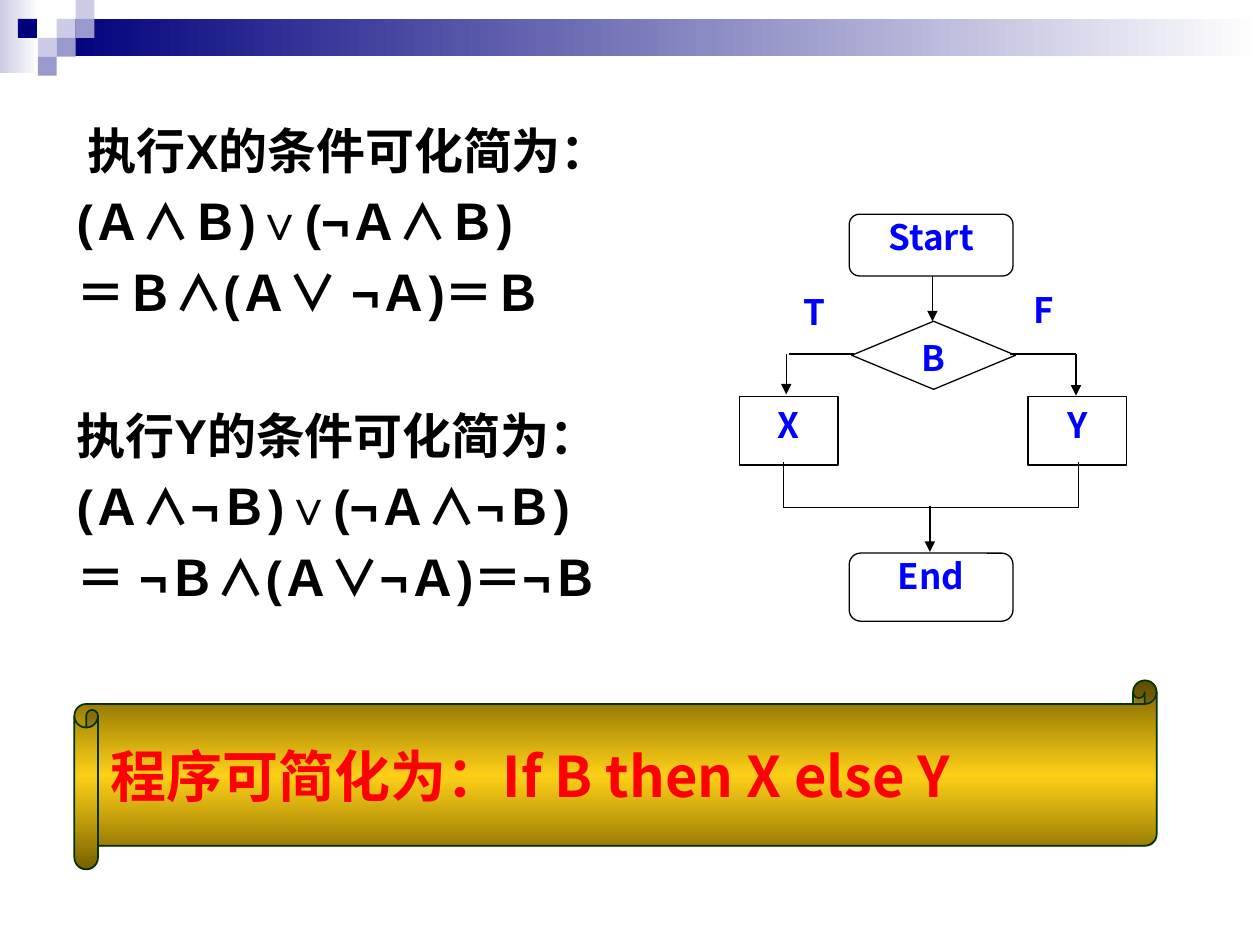
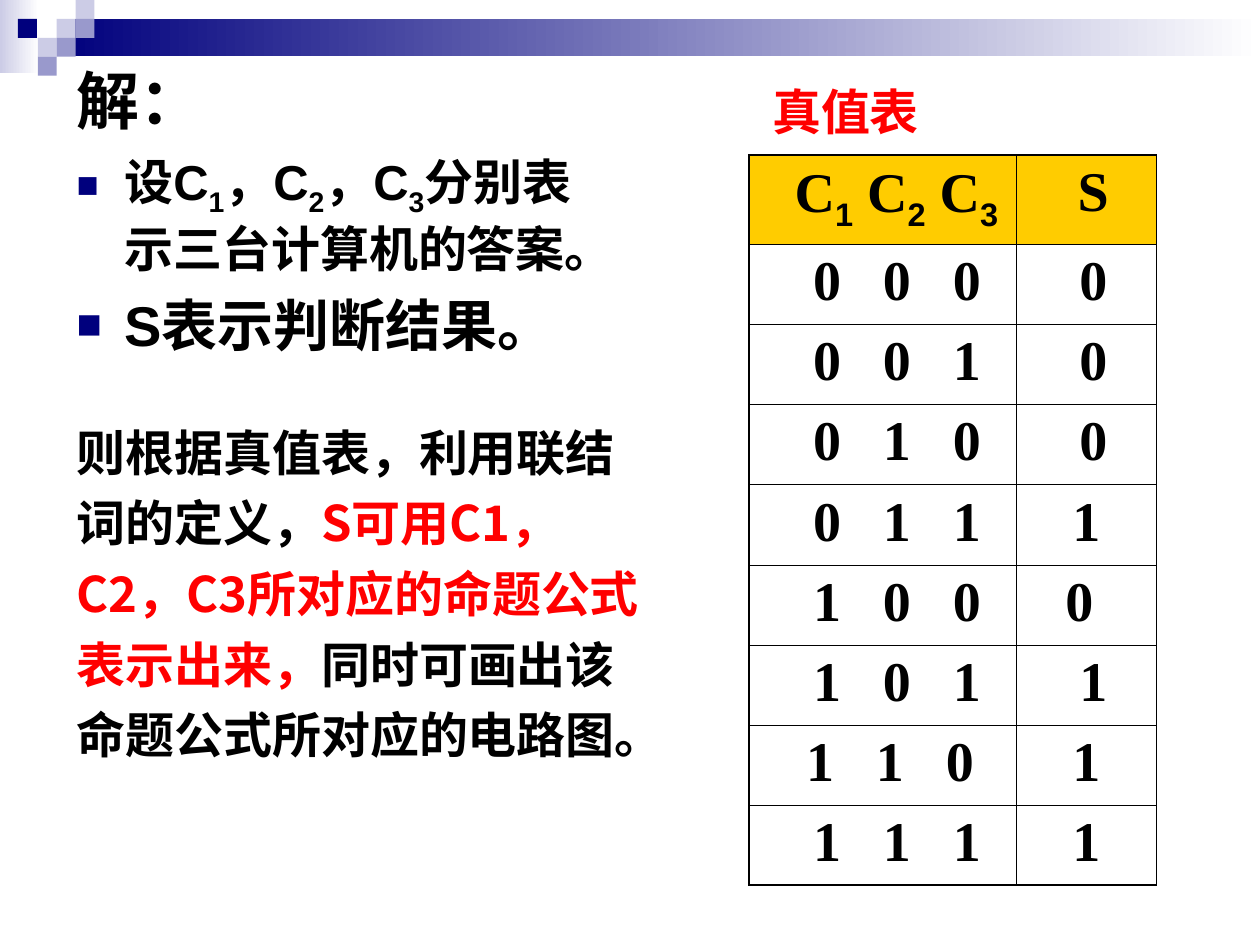
from lxml import etree
from pptx import Presentation
from pptx import util as u
from pptx.dml.color import RGBColor
from pptx.enum import shapes, text
from pptx.oxml import ns

NAVY = RGBColor(0x00, 0x00, 0x7D)
MIST = RGBColor(0xCC, 0xCC, 0xE6)
LILAC = RGBColor(0x99, 0x99, 0xCC)
WHITE = RGBColor(0xFF, 0xFF, 0xFF)
BLACK = RGBColor(0x00, 0x00, 0x00)
BLUE = RGBColor(0x00, 0x00, 0xFF)
RED = RGBColor(0xFF, 0x00, 0x00)
GOLD = RGBColor(0xFF, 0xCC, 0x00)
BRONZE = RGBColor(0x76, 0x5E, 0x00)
GREEN = RGBColor(0x00, 0x33, 0x00)
SANS, SERIF, HAN = "Arial", "Times New Roman", "Noto Sans CJK SC"
FORM = shapes.MSO_SHAPE
MID = text.PP_ALIGN.CENTER

deck = Presentation()
deck.slide_width, deck.slide_height = u.Inches(10), u.Inches(7.5)
COL, ROW = deck.slide_width / 100, deck.slide_height / 75


def say(frame, parts, size=28, font=SANS, color=BLACK, align=None, line=None,
        before=0, left=0, first=0, right=0, dot=False, gap=0, fresh=True):
    para = frame.paragraphs[0] if fresh else frame.add_paragraph()
    props = para._p.get_or_add_pPr()
    for key, size_in in (("marL", left), ("marR", right), ("indent", first)):
        props.set(key, str(round(size_in * COL)))
    if dot:
        tint = etree.SubElement(props, ns.qn("a:buClr"))
        etree.SubElement(tint, ns.qn("a:srgbClr"), val=str(NAVY))
        etree.SubElement(props, ns.qn("a:buSzPct"), val="75000")
        etree.SubElement(props, ns.qn("a:buFont"), typeface=SANS)
        etree.SubElement(props, ns.qn("a:buChar"), char="■")
    else:
        etree.SubElement(props, ns.qn("a:buNone"))
    para.alignment, para.line_spacing = align, line
    para.space_before = u.Pt(before)
    for part in [parts] if isinstance(parts, str) else parts:
        word, style = (part, {}) if isinstance(part, str) else part
        run = para.add_run()
        run.text = word
        face = style.get("font", font)
        run.font.name, run.font.size, run.font.bold = face, u.Pt(size), True
        run.font.color.rgb = style.get("color", color)
        mark = run._r.get_or_add_rPr()
        etree.SubElement(mark, ns.qn("a:ea"), typeface=face)
        if style.get("sub"):
            mark.set("baseline", "-25000")
        if gap:
            mark.set("spc", str(gap * 100))


def draw(slide, form, x, y, w, h, fill=None, edge=None, wide=0.75, turn=0):
    spot = [round(n) for n in (x * COL, y * ROW, w * COL, h * ROW)]
    if form is None:
        item = slide.shapes.add_textbox(*spot)
        item.text_frame.word_wrap = True
        return item
    item = slide.shapes.add_shape(form, *spot)
    item.shadow.inherit = False
    item.text_frame.vertical_anchor = text.MSO_ANCHOR.TOP
    if isinstance(fill, list):
        item.fill.gradient()
        item.fill.gradient_angle = turn
        stops = item._element.spPr.find(".//" + ns.qn("a:gsLst"))
        for old in list(stops):
            stops.remove(old)
        for pos, tint, alpha in fill:
            stop = etree.SubElement(stops, ns.qn("a:gs"), pos=str(pos * 1000))
            hue = etree.SubElement(stop, ns.qn("a:srgbClr"), val=str(tint))
            if alpha < 100:
                etree.SubElement(hue, ns.qn("a:alpha"), val=str(alpha * 1000))
    else:
        item.fill.solid()
        item.fill.fore_color.rgb = fill
    if edge is None:
        item.line.fill.background()
    else:
        item.line.color.rgb, item.line.width = edge, u.Pt(wide)
    return item


flow, truth = [deck.slides.add_slide(deck.slide_layouts[6]) for _ in range(2)]

TILE = 1.5
tiles = [(3, 1, MIST), (4, 0, MIST), (4, 1, LILAC), (2, 2, MIST),
         (0.95, 1, NAVY), (3, 2, LILAC), (2, 3, LILAC)]
for page in (flow, truth):
    draw(page, FORM.RECTANGLE, 0, 0, 3.1, 5.8, [(0, MIST, 100), (100, WHITE, 100)])
    draw(page, FORM.RECTANGLE, 4.5, 1.5, 95.5, 2.95, [(0, NAVY, 100), (100, WHITE, 100)])
    for c, r, tint in tiles:
        draw(page, FORM.RECTANGLE, c * TILE, r * TILE, TILE, TILE, tint)

logic = [("执行X的条件可化简为：", 0, -2.9),
         ("(Ａ∧Ｂ)∨(¬Ａ∧Ｂ)", 7, -3.8),
         ("＝Ｂ∧(Ａ∨ ¬Ａ)＝Ｂ", 7, -3.8),
         ("执行Y的条件可化简为：", 48, -3.8),
         ("(Ａ∧¬Ｂ)∨(¬Ａ∧¬Ｂ)", 7, -3.8),
         ("＝ ¬Ｂ∧(Ａ∨¬Ａ)＝¬Ｂ", 7, -3.8)]
body = draw(flow, None, 5.1, 9.1, 51.3, 39.3).text_frame
for n, (words, before, first) in enumerate(logic):
    say(body, words, before=before, left=3.8, first=first, fresh=n == 0)

ROUND = FORM.FLOWCHART_ALTERNATE_PROCESS
nodes = [("T", FORM.RECTANGLE, 62, 22.6, 5.2, 5.4, None, None),
         ("F", FORM.RECTANGLE, 80.2, 22.4, 5.2, 5.4, None, None),
         ("X", FORM.FLOWCHART_PROCESS, 58.7, 31.5, 7.8, 5.4, BLACK, None),
         ("Y", FORM.RECTANGLE, 81.6, 31.5, 7.8, 5.4, BLACK, None),
         ("Start", ROUND, 67.4, 17, 13, 4.9, BLACK, 0.8),
         ("B", FORM.FLOWCHART_DECISION, 67.6, 25.5, 13, 5.4, BLACK, 0.8),
         ("End", ROUND, 67.4, 43.9, 13, 5.4, BLACK, 0.8)]
for name, form, x, y, w, h, edge, line in nodes:
    node = draw(flow, form, x, y, w, h, WHITE, edge)
    say(node.text_frame, name, size=20, font=HAN, color=BLUE, align=MID, line=line)

links = [(73.8, 40.2, 73.8, 43.8, True), (62.2, 36.7, 62.2, 40.3, False),
         (85.6, 36.7, 85.6, 40.3, False), (62.2, 40.3, 85.6, 40.3, False),
         (80.2, 28.1, 85.4, 28.1, False), (74, 21.9, 74, 25.5, True),
         (67.8, 28.1, 62.6, 28.1, False), (85.4, 28.1, 85.4, 31.4, True),
         (62.4, 28.1, 62.4, 31.3, True)]
for x, y, to_x, to_y, arrow in links:
    link = flow.shapes.add_connector(
        shapes.MSO_CONNECTOR.STRAIGHT, round(x * COL), round(y * ROW),
        round(to_x * COL), round(to_y * ROW))
    link.line.color.rgb, link.line.width = BLACK, u.Pt(0.75)
    if arrow:
        etree.SubElement(link.line._get_or_add_ln(), ns.qn("a:tailEnd"), type="triangle")
    etree.SubElement(link._element.spPr, ns.qn("a:effectLst"))

shine = [(0, BRONZE, 100), (50, GOLD, 90), (100, BRONZE, 100)]
scroll = draw(flow, FORM.HORIZONTAL_SCROLL, 5.9, 54, 85.9, 15, shine, GREEN, 1, 270)
scroll.text_frame.vertical_anchor = text.MSO_ANCHOR.MIDDLE
say(scroll.text_frame, "程序可简化为：If B then X else Y", size=32, font=HAN,
    color=RED, align=text.PP_ALIGN.LEFT)

title = draw(truth, None, 5.1, 2.1, 90, 11.5).text_frame
title.vertical_anchor = text.MSO_ANCHOR.MIDDLE
say(title, "解：", size=36)

low = {"sub": True, "font": SANS}
terms = draw(truth, None, 5.1, 11.5, 44, 18.8).text_frame
say(terms, ["设C", ("1", low), "，C", ("2", low), "，C", ("3", low),
            "分别表示三台计算机的答案。"], left=3.8, first=-3.8, dot=True)
say(terms, "S表示判断结果。", size=32, before=8, left=3.8, first=-3.8,
    dot=True, fresh=False)

head = ["C", ("1", low), " C", ("2", low), " C", ("3", low)]
rows = [(head, "S", 2.2, 1.1, 0)]
for n, (out, nudge, back) in enumerate(
        [(0, 1.1, 0), (0, 1.1, 0), (0, 1.1, 0), (1, 0, 0),
         (0, 0, 1.1), (1, 1.1, 0), (1, 0, 0), (1, 0, 0)]):
    rows.append((" ".join(f"{n:03b}"), str(out), 1.2 if n == 6 else 2.3, nudge, back))

grid = truth.shapes.add_table(9, 2, round(59.45 * COL), round(12.3 * ROW),
                              round(32.4 * COL), round(57 * ROW)).table
for c, wide in enumerate((21.2, 11.15)):
    grid.columns[c].width = round(wide * COL)
for r, (bits, out, shift, nudge, back) in enumerate(rows):
    grid.rows[r].height = round((7.1 if r == 0 else 6.36) * ROW)
    for c in range(2):
        cell = grid.cell(r, c)
        outer = {"L": c == 0, "R": c == 1, "T": r == 0, "B": r == 8}
        for side, edge in outer.items():
            rule = etree.SubElement(cell._tc.get_or_add_tcPr(), ns.qn("a:ln" + side),
                                    w=str(u.Pt(1.08 if edge else 0.45)))
            paint = etree.SubElement(rule, ns.qn("a:solidFill"))
            etree.SubElement(paint, ns.qn("a:srgbClr"), val=str(BLACK))
        cell.fill.solid()
        cell.fill.fore_color.rgb = GOLD if r == 0 else WHITE
        say(cell.text_frame, out if c else bits, size=32, font=SERIF, align=MID,
            left=nudge if c else shift, right=back if c else 0,
            gap=8 if r and not c else 0)

label = draw(truth, None, 60.3, 6, 16, 5.7).text_frame
say(label, "真值表", font=HAN, color=RED)

note = draw(truth, None, 5.1, 32.1, 48, 34.6).text_frame
say(note, ["则根据真值表，利用联结词的定义，",
           ("S可用C1，C2，C3所对应的命题公式表示出来，", {"color": RED}),
           "同时可画出该命题公式所对应的电路图。"], font=HAN, line=1.2)

deck.save("out.pptx")
